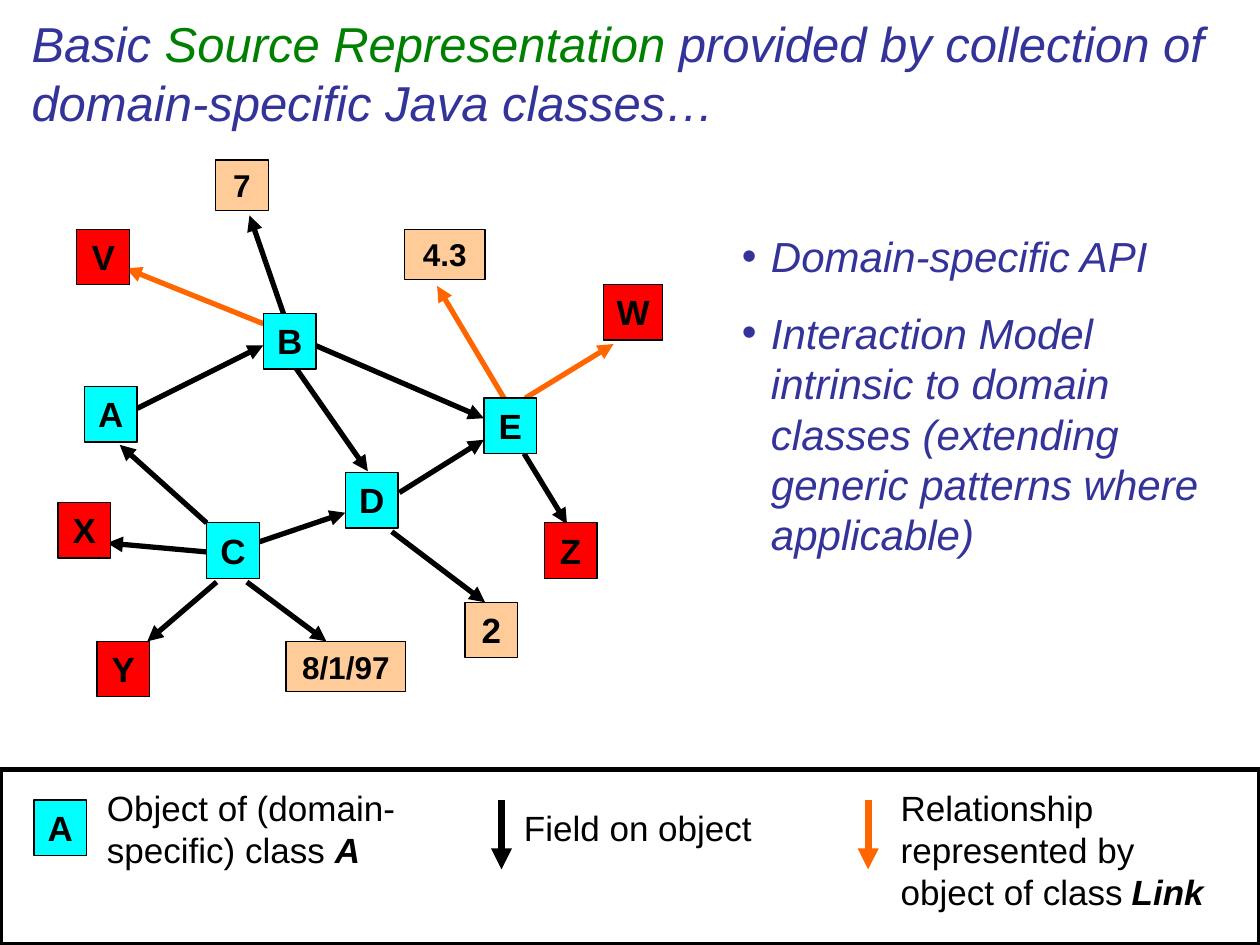
from lxml import etree
from pptx import Presentation
from pptx.dml.color import RGBColor
from pptx.enum import shapes, text
from pptx.oxml.ns import qn
from pptx.util import Pt

COLORS = {
    "ink": "000000",
    "heading": "333399",
    "accent": "008000",
    "object": "00FFFF",
    "terminal": "FF0000",
    "value": "FFCC99",
    "link": "FF6600",
}
BOX_WIDTH, BOX_HEIGHT, VALUE_HEIGHT = 30.2, 31.7, 28.8

NODES = [
    ("A", 48.2, 221, "object"),
    ("B", 150.5, 179.3, "object"),
    ("E", 276.5, 227.5, "object"),
    ("C", 118.1, 298.8, "object"),
    ("D", 197.3, 270, "object"),
    ("V", 43.9, 131, "terminal"),
    ("Z", 311, 298.8, "terminal"),
    ("X", 33.1, 287.3, "terminal"),
    ("Y", 55.4, 366.5, "terminal"),
    ("W", 344.9, 162.7, "terminal", 33.8),
    ("7", 123.1, 91.4, "value", BOX_WIDTH, VALUE_HEIGHT, 18),
    ("4.3", 231.1, 131, "value", 46.1, VALUE_HEIGHT, 18),
    ("2", 265.7, 344.2, "value"),
    ("8/1/97", 163.4, 366.5, "value", 68.4, VALUE_HEIGHT, 18),
]
FIELDS = [
    (118.1, 298.8, 68.4, 254.2),
    (78.5, 233.3, 150.5, 197.3),
    (228.2, 281.5, 276.5, 251.3),
    (180, 197.3, 276.5, 239),
    (141.1, 332.6, 186.5, 366.5),
    (168.5, 209.5, 210.2, 269.3),
    (162, 179.3, 142.6, 123.1),
    (299.5, 259.2, 324, 299.5),
    (223.9, 303.8, 277.2, 344.2),
    (118.1, 315.4, 61.2, 310.3),
    (123.8, 332.6, 84.2, 366.5),
    (146.2, 310.3, 197.3, 293),
]
LINKS = [
    (288, 227.5, 249.8, 163.4),
    (150.5, 185, 72, 153.4),
    (300.2, 227.5, 350.6, 196.6),
]


class SlideBuilder:
    font = "Arial"

    def __init__(self, slide):
        self.slide = slide

    def color(self, name):
        return RGBColor.from_string(COLORS[name])

    def apply(self, target, values):
        for name, value in values.items():
            setattr(target, name, value)

    def frame(self, shape, margin=7.2, anchor=text.MSO_ANCHOR.TOP):
        self.apply(shape.text_frame, {
            "word_wrap": True,
            "vertical_anchor": anchor,
            "margin_left": Pt(margin),
            "margin_right": Pt(margin),
            "margin_top": Pt(3.6),
            "margin_bottom": Pt(3.6),
        })
        return shape.text_frame

    def add_runs(self, paragraph, runs, size, color="ink", **style):
        paragraph.space_before = Pt(size * 0.625)
        for content, changes in runs:
            run = paragraph.add_run()
            run.text = content
            values = {"name": self.font, "size": Pt(size), **style, **changes}
            run.font.color.rgb = self.color(values.pop("color", color))
            self.apply(run.font, values)

    def rectangle(self, left, top, width, height, fill=None, weight=0.75):
        shape = self.slide.shapes.add_shape(
            shapes.MSO_SHAPE.RECTANGLE, Pt(left), Pt(top), Pt(width), Pt(height))
        shape.shadow.inherit = False
        if fill:
            shape.fill.solid()
            shape.fill.fore_color.rgb = self.color(fill)
        else:
            shape.fill.background()
        shape.line.color.rgb = self.color("ink")
        shape.line.width = Pt(weight)
        return shape

    def node(self, label, left, top, fill, width=BOX_WIDTH, height=BOX_HEIGHT, size=20):
        frame = self.frame(self.rectangle(left, top, width, height, fill))
        paragraph = frame.paragraphs[0]
        paragraph.alignment = text.PP_ALIGN.CENTER
        self.add_runs(paragraph, [(label, {})], size, bold=True)

    def textbox(self, left, top, width, height, runs, size, margin=7.2,
                anchor=text.MSO_ANCHOR.TOP, **style):
        shape = self.slide.shapes.add_textbox(Pt(left), Pt(top), Pt(width), Pt(height))
        frame = self.frame(shape, margin, anchor)
        self.add_runs(frame.paragraphs[0], runs, size, **style)

    def bullets(self, left, top, width, height, items, size, color, indent):
        shape = self.slide.shapes.add_textbox(Pt(left), Pt(top), Pt(width), Pt(height))
        frame = self.frame(shape)
        for index, item in enumerate(items):
            paragraph = frame.add_paragraph() if index else frame.paragraphs[0]
            self.add_runs(paragraph, [(item, {})], size, color, italic=True)
            properties = paragraph._p.get_or_add_pPr()
            properties.set("marL", str(Pt(indent)))
            properties.set("indent", str(-Pt(indent)))
            bullet_color = etree.SubElement(properties, qn("a:buClr"))
            etree.SubElement(bullet_color, qn("a:srgbClr"), val=COLORS[color])
            etree.SubElement(properties, qn("a:buFont"), typeface=self.font)
            etree.SubElement(properties, qn("a:buChar"), char="•")

    def arrow(self, start_x, start_y, end_x, end_y, color="ink", weight=3):
        connector = self.slide.shapes.add_connector(
            shapes.MSO_CONNECTOR.STRAIGHT, Pt(start_x), Pt(start_y), Pt(end_x), Pt(end_y))
        connector.line.color.rgb = self.color(color)
        connector.line.width = Pt(weight)
        etree.SubElement(connector.line._get_or_add_ln(), qn("a:tailEnd"), type="triangle")
        etree.SubElement(connector._element.spPr, qn("a:effectLst"))


def main():
    presentation = Presentation()
    presentation.slide_width, presentation.slide_height = Pt(720), Pt(540)
    builder = SlideBuilder(presentation.slides.add_slide(presentation.slide_layouts[6]))

    builder.bullets(416.9, 128.2, 283.7, 195.1, [
        "Domain-specific API",
        "Interaction Model intrinsic to domain classes "
        "(extending generic patterns where applicable)",
    ], 24, "heading", 16.6)
    builder.textbox(14.4, 0, 691.9, 82.8, [
        ("Basic ", {}),
        ("Source Representation", {"color": "accent"}),
        (" provided by collection of domain-specific Java classes…", {}),
    ], 28, margin=3.6, anchor=text.MSO_ANCHOR.MIDDLE, color="heading", italic=True)

    for field in FIELDS:
        builder.arrow(*field)
    for link in LINKS:
        builder.arrow(*link, color="link")
    for node in NODES:
        builder.node(*node)

    emphasis = {"bold": True, "italic": True}
    legend_top, arrow_end = 457.2, 496.8
    builder.rectangle(0, 439.9, 720, 100.1, weight=3)
    builder.node("A", 19.4, legend_top, "object")
    builder.textbox(54, 445.7, 181.4, 55.4, [
        ("Object of (domain-specific) class ", {}), ("A", emphasis)], 20)
    builder.arrow(286.6, legend_top, 286.6, arrow_end, weight=4)
    builder.textbox(292.3, legend_top, 164.2, BOX_HEIGHT, [("Field on object", {})], 20)
    builder.arrow(496.1, legend_top, 496.1, arrow_end, "link", 4)
    builder.textbox(507.6, 445.7, 193, 79.2, [
        ("Relationship represented by object of class", {}),
        (" ", {"size": Pt(18)}),
        ("Link", emphasis),
    ], 20)
    presentation.save("out.pptx")


if __name__ == "__main__":
    main()
